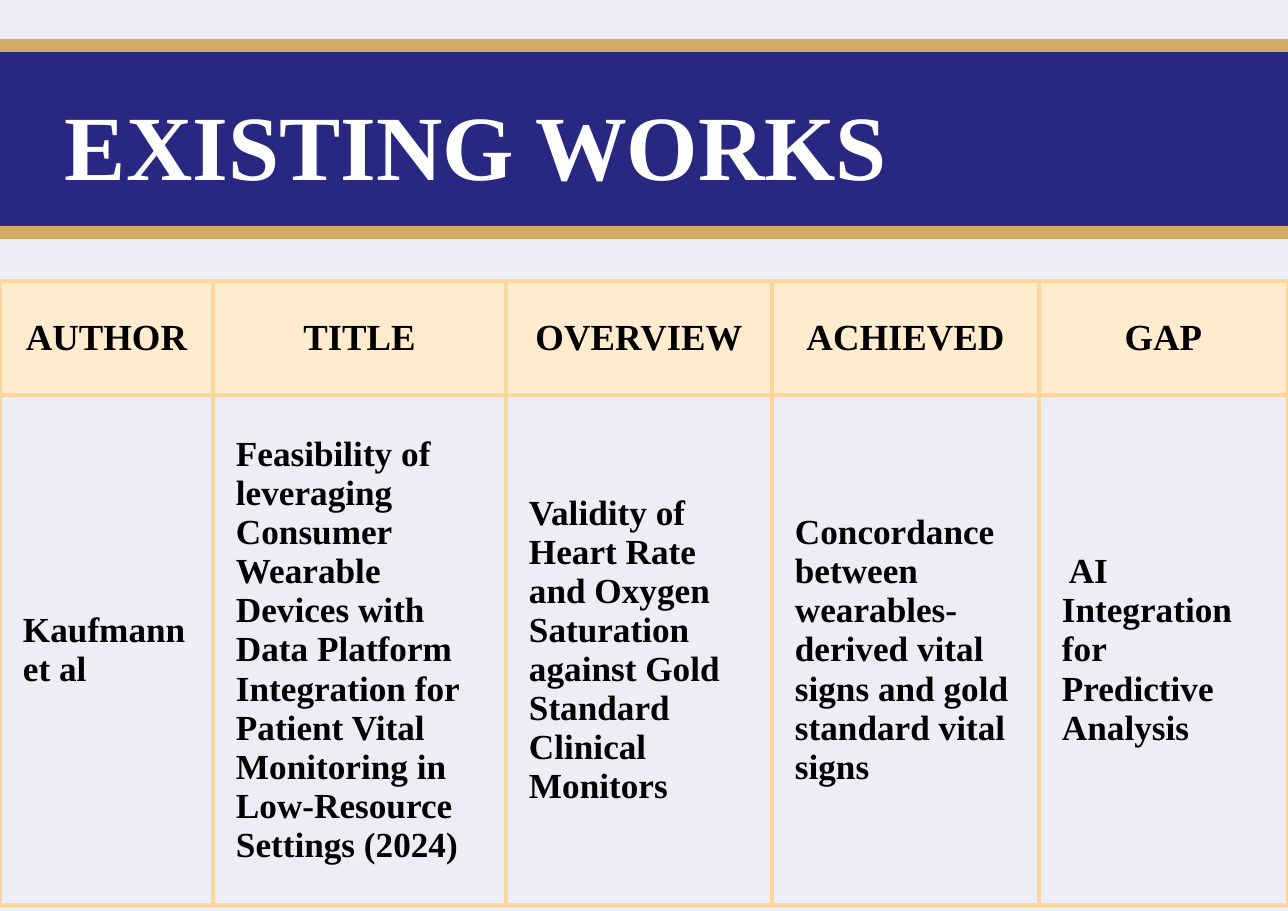
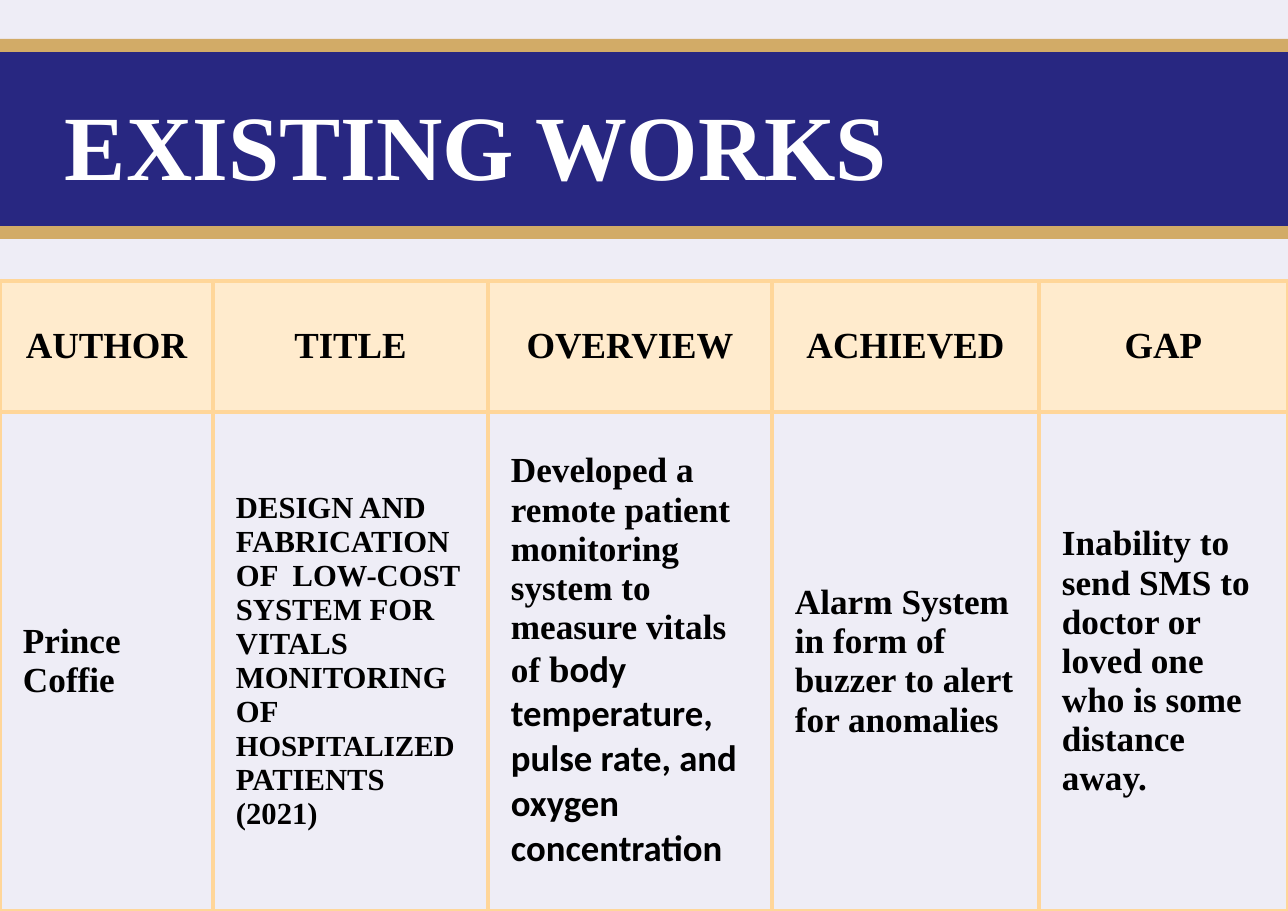
from typing import NamedTuple

from lxml import etree
from pptx import Presentation
from pptx.dml.color import RGBColor
from pptx.enum.shapes import MSO_SHAPE
from pptx.enum.text import MSO_ANCHOR, PP_ALIGN
from pptx.oxml.ns import qn
from pptx.util import Emu, Pt

RECTANGLE = MSO_SHAPE.RECTANGLE
TOP, MIDDLE = MSO_ANCHOR.TOP, MSO_ANCHOR.MIDDLE
LEFT, CENTER = PP_ALIGN.LEFT, PP_ALIGN.CENTER

EMU_PER_PX = 8298
PAGE_WIDTH, PAGE_HEIGHT = 1288, 911
TABLE_TOP = 281
CELL_MARGIN = 23
BORDER_PT = 3

LAVENDER = RGBColor(0xEE, 0xED, 0xF6)
NAVY = RGBColor(0x28, 0x27, 0x81)
GOLD = RGBColor(0xD2, 0xAB, 0x67)
CREAM = RGBColor(0xFF, 0xEB, 0xCD)
PEACH = RGBColor(0xFF, 0xD6, 0x99)
BLACK = RGBColor(0, 0, 0)
WHITE = RGBColor(0xFF, 0xFF, 0xFF)

SERIF, SANS = "Times New Roman", "Calibri"
HEADINGS = ["AUTHOR", "TITLE", "OVERVIEW", "ACHIEVED", "GAP"]
BANDS = [
    (0, 39, LAVENDER),
    (226, 685, LAVENDER),
    (39, 200, GOLD),
    (52, 174, NAVY),
]


class Span(NamedTuple):
    """A stretch of text in one size and font."""
    text: str
    size: int = 23
    font: str = SERIF


class Work(NamedTuple):
    """One reviewed work: table measures and the paragraphs of each cell."""
    columns: list
    rows: list
    height: int
    cells: list


WORKS = [
    Work(
        [213, 293, 266, 267, 249],
        [114, 436],
        625,
        [
            [[Span("Kaufmann")], [Span("et al")]],
            [[Span("Feasibility of leveraging Consumer Wearable Devices with "
                   "Data Platform Integration for Patient Vital Monitoring in "
                   "Low-Resource Settings (2024)")]],
            [[Span("Validity of Heart Rate and Oxygen Saturation against Gold "
                   "Standard Clinical Monitors")]],
            [[Span("Concordance between wearables-derived vital signs and gold "
                   "standard vital signs")]],
            [[Span(" AI Integration for Predictive Analysis")]],
        ],
    ),
    Work(
        [213, 275, 284, 267, 249],
        [131, 499],
        630,
        [
            [[Span("Prince Coffie")]],
            [
                [Span("DESIGN AND FABRICATION OF  LOW-COST SYSTEM FOR VITALS "
                      "MONITORING OF ", 20),
                 Span("HOSPITALIZED", 19),
                 Span(" PATIENTS", 20)],
                [Span("(2021)", 20)],
            ],
            [[Span("Developed a remote patient monitoring system to measure "
                   "vitals of "),
              Span("b", 24),
              Span("ody temperature, pulse rate, and oxygen concentration",
                   24, SANS)]],
            [[Span("Alarm System in form of buzzer to alert for anomalies")]],
            [[Span("Inability to send SMS to doctor or loved one who is some "
                   "distance away.")]],
        ],
    ),
]


def px(length):
    """Turn pixels into EMU."""
    return Emu(length * EMU_PER_PX)


def write_text(frame, paragraphs, color, alignment=LEFT):
    """Write paragraphs of bold spans into a text frame."""
    frame.word_wrap = True
    for index, spans in enumerate(paragraphs):
        para = frame.add_paragraph() if index else frame.paragraphs[0]
        para.alignment = alignment
        for span in spans:
            run = para.add_run()
            run.text = span.text
            run.font.size = Pt(span.size)
            run.font.name = span.font
            run.font.bold = True
            run.font.color.rgb = color


def add_band(page, top, height, color):
    """Add a plain band across the whole page."""
    band = page.shapes.add_shape(
        RECTANGLE, px(0), px(top), px(PAGE_WIDTH), px(height))
    band.shadow.inherit = False
    band.fill.solid()
    band.fill.fore_color.rgb = color
    band.line.fill.background()


def add_title(page, text):
    """Add the page title over the band."""
    box = page.shapes.add_textbox(px(65), px(89), px(874), px(223))
    frame = box.text_frame
    frame.margin_left = frame.margin_right = 0
    frame.margin_top = frame.margin_bottom = 0
    frame.vertical_anchor = TOP
    write_text(frame, [[Span(text, 60)]], WHITE)


def add_borders(cell):
    """Draw the same line on all four sides of a cell."""
    properties = cell._tc.get_or_add_tcPr()
    for side in ("a:lnL", "a:lnR", "a:lnT", "a:lnB"):
        line = etree.SubElement(properties, qn(side), w=str(Pt(BORDER_PT)))
        fill = etree.SubElement(line, qn("a:solidFill"))
        etree.SubElement(fill, qn("a:srgbClr"), val=str(PEACH))


def fill_cell(cell, paragraphs, alignment=LEFT, color=None):
    """Set the borders, fill, margins and text of a cell."""
    add_borders(cell)
    if color is None:
        cell.fill.background()
    else:
        cell.fill.solid()
        cell.fill.fore_color.rgb = color
    cell.margin_left = cell.margin_right = px(CELL_MARGIN)
    cell.margin_top = cell.margin_bottom = px(CELL_MARGIN)
    cell.vertical_anchor = MIDDLE
    write_text(cell.text_frame, paragraphs, BLACK, alignment)


def add_work_table(page, work):
    """Add the table that describes one work."""
    frame = page.shapes.add_table(
        len(work.rows), len(work.columns), px(0), px(TABLE_TOP),
        px(sum(work.columns)), px(work.height))
    table = frame.table
    table.first_row = table.horz_banding = False
    for column, width in zip(table.columns, work.columns):
        column.width = px(width)
    for row, height in zip(table.rows, work.rows):
        row.height = px(height)
    frame.height = px(work.height)
    for index, (heading, paragraphs) in enumerate(zip(HEADINGS, work.cells)):
        fill_cell(table.cell(0, index), [[Span(heading, 24)]], CENTER, CREAM)
        fill_cell(table.cell(1, index), paragraphs)


def add_page(deck, title):
    """Add a page with the shared bands and title."""
    page = deck.slides.add_slide(deck.slide_layouts[6])
    for top, height, color in BANDS:
        add_band(page, top, height, color)
    add_title(page, title)
    return page


def main():
    """Build and save the deck."""
    deck = Presentation()
    deck.slide_width, deck.slide_height = px(PAGE_WIDTH), px(PAGE_HEIGHT)
    for work in WORKS:
        add_work_table(add_page(deck, "EXISTING WORKS"), work)
    deck.save("out.pptx")


if __name__ == "__main__":
    main()
